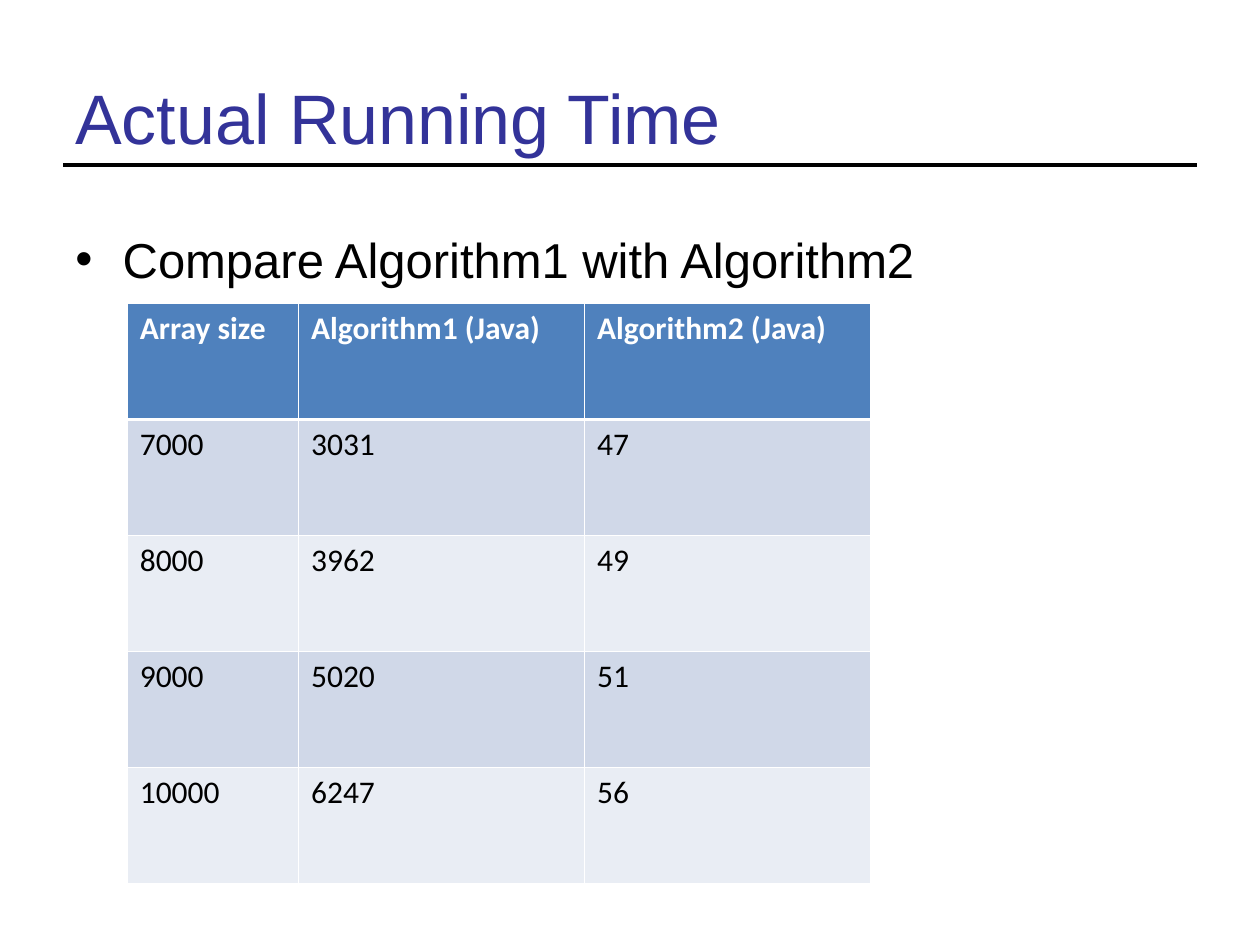
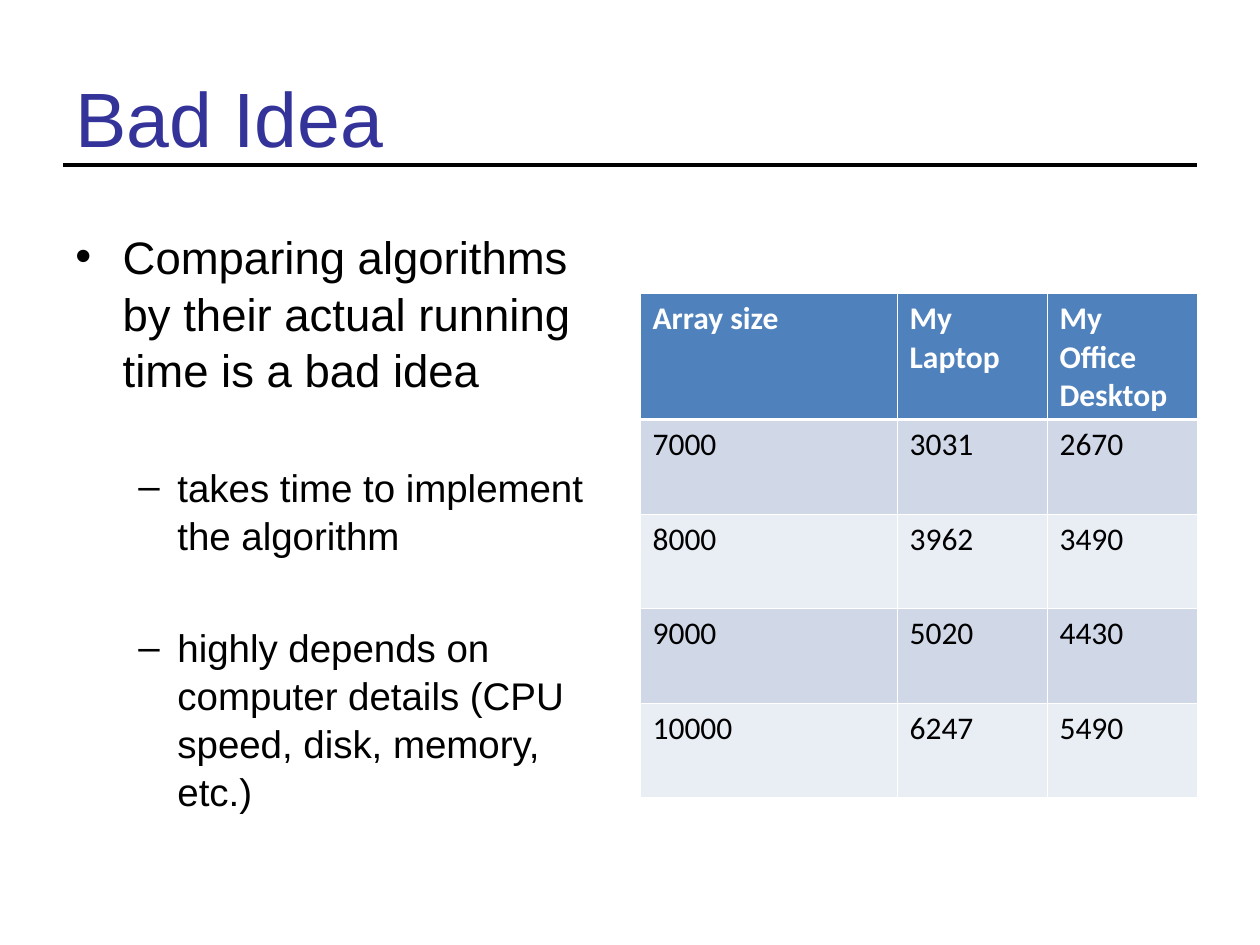
from lxml import etree
from pptx import Presentation
from pptx.dml.color import RGBColor
from pptx.enum.shapes import MSO_CONNECTOR
from pptx.enum.text import MSO_ANCHOR
from pptx.oxml.ns import qn
from pptx.util import Emu, Inches, Pt

LINE = MSO_CONNECTOR.STRAIGHT
TOP, MIDDLE = MSO_ANCHOR.TOP, MSO_ANCHOR.MIDDLE

# Shared style; lengths are cells of a 100 by 75 grid
UNIT = Inches(0.1)
BLACK, WHITE, TITLE = "000000", "FFFFFF", "333399"
HEADER, BANDS = "4F81BD", ("D0D8E8", "E9EDF4")
LEFT, WIDTH = 5, 90
TITLE_TOP, TITLE_HEIGHT, RULE_Y = 3, 12.5, 13.1
BODY_TOP, BODY_HEIGHT = 17.5, 49.5
THIN, THICK = 0.45, 1.47
# Bullet sign, left margin and hanging indent for each level
LEVELS = (("•", 3.75, 3.75), ("–", 8.1, 3.1))


def grid(*cells):
    return [Emu(round(c * UNIT)) for c in cells]


def color(value):
    return RGBColor.from_string(value)


def write(p, text, size=18, font="Arial", fill=BLACK, bold=False):
    r = p.add_run()
    r.text = text
    f = r.font
    f.size, f.name, f.bold = Pt(size), font, bold
    f.color.rgb = color(fill)


def text_frame(s, left, top, width, height, anchor=TOP):
    tf = s.shapes.add_textbox(*grid(left, top, width, height)).text_frame
    tf.word_wrap = True
    tf.vertical_anchor = anchor
    return tf


def add_bullet(p, level):
    sign, margin, hang = LEVELS[level]
    margin, hang = grid(margin, hang)
    pPr = p._p.get_or_add_pPr()
    pPr.set("marL", str(margin))
    pPr.set("indent", str(-hang))
    etree.SubElement(pPr, qn("a:buFont"), typeface="Arial")
    etree.SubElement(pPr, qn("a:buChar"), char=sign)
    p.level = level


def add_titled_slide(prs, title, size):
    s = prs.slides.add_slide(prs.slide_layouts[6])
    # Rule under the title
    rule = s.shapes.add_connector(LINE, *grid(LEFT, RULE_Y, LEFT + WIDTH, RULE_Y))
    rule.line.color.rgb = color(BLACK)
    rule.line.width = Pt(2)
    etree.SubElement(rule._element.spPr, qn("a:effectLst"))
    tf = text_frame(s, LEFT, TITLE_TOP, WIDTH, TITLE_HEIGHT, MIDDLE)
    write(tf.paragraphs[0], title, size=size, fill=TITLE)
    return s


def add_bullets(s, width, items, gap=0):
    tf = text_frame(s, LEFT, BODY_TOP, width, BODY_HEIGHT)
    for i, (level, size, text) in enumerate(items):
        p = tf.add_paragraph() if i else tf.paragraphs[0]
        p.line_spacing = 1.04
        if i:
            p.space_before = Pt(gap)
        add_bullet(p, level)
        write(p, text, size=size)


def add_borders(cell, top, bottom):
    tcPr = cell._tc.get_or_add_tcPr()
    sides = (("L", THIN), ("R", THIN), ("T", top), ("B", bottom))
    for i, (side, width) in enumerate(sides):
        ln = etree.Element(qn("a:ln" + side), w=str(Pt(width)))
        fill = etree.SubElement(ln, qn("a:solidFill"))
        etree.SubElement(fill, qn("a:srgbClr"), val=WHITE)
        tcPr.insert(i, ln)


def add_data_table(s, left, top, widths, header_height, row_height, rows):
    heights = [header_height] + [row_height] * (len(rows) - 1)
    box = grid(left, top, sum(widths), sum(heights))
    table = s.shapes.add_table(len(rows), len(widths), *box).table
    for column, width in zip(table.columns, grid(*widths)):
        column.width = width
    for i, (row, height) in enumerate(zip(table.rows, grid(*heights))):
        row.height = height
        is_header = i == 0
        for cell, value in zip(row.cells, rows[i]):
            cell.fill.solid()
            cell.fill.fore_color.rgb = color(HEADER if is_header else BANDS[(i - 1) % 2])
            add_borders(cell, top=THICK if i == 1 else THIN,
                        bottom=THICK if is_header else THIN)
            write(cell.text_frame.paragraphs[0], str(value), font="Calibri",
                  fill=WHITE if is_header else BLACK, bold=is_header)


def main():
    prs = Presentation()
    prs.slide_width, prs.slide_height = grid(100, 75)

    sizes = (7000, 8000, 9000, 10000)
    laptop = (3031, 3962, 5020, 6247)
    algorithm2 = (47, 49, 51, 56)
    desktop = (2670, 3490, 4430, 5490)

    # Running times of the two algorithms
    s = add_titled_slide(prs, "Actual Running Time", 40)
    add_bullets(s, 83.2, [(0, 28, "Compare Algorithm1 with Algorithm2")])
    add_data_table(s, 10.1, 24.1, (13.6, 22.7, 22.7), 9.2, 9.2,
                   [("Array size", "Algorithm1 (Java)", "Algorithm2 (Java)"),
                    *zip(sizes, laptop, algorithm2)])

    # Running times on two computers
    s = add_titled_slide(prs, "Bad Idea", 44)
    add_bullets(s, 44.2, [
        (0, 26, "Comparing algorithms by their actual running time is a bad idea"),
        (1, 22, "takes time to implement the algorithm"),
        (1, 22, "highly depends on computer details (CPU speed, disk, memory, etc.)"),
    ], gap=37)
    add_data_table(s, 50.8, 23.3, (20.4, 11.9, 11.9), 10, 7.5,
                   [("Array size", "My Laptop", "My Office Desktop"),
                    *zip(sizes, laptop, desktop)])

    prs.save("out.pptx")


if __name__ == "__main__":
    main()
